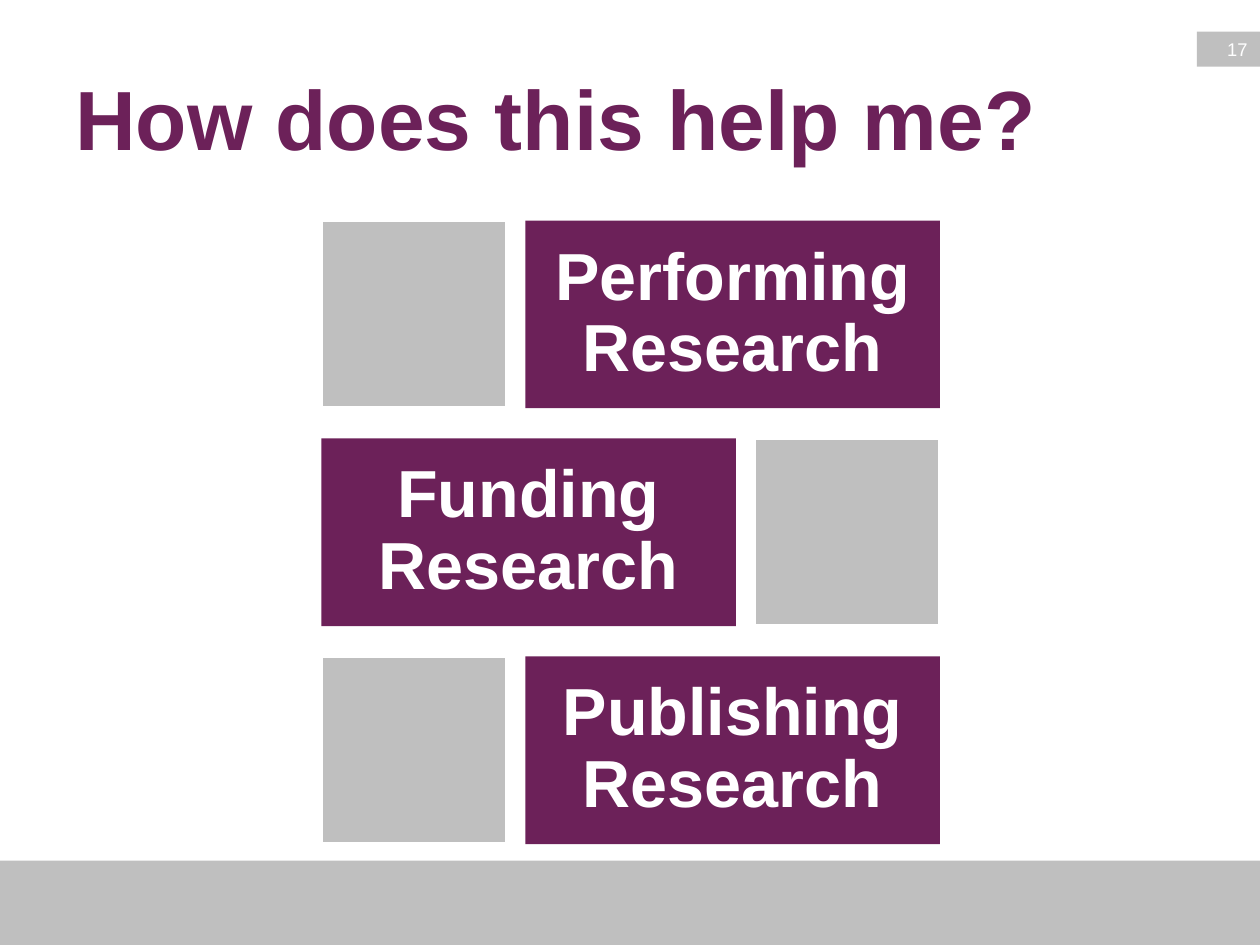
from pptx import Presentation
from pptx.dml.color import RGBColor
from pptx.enum.shapes import MSO_SHAPE
from pptx.enum.text import MSO_ANCHOR, PP_ALIGN
from pptx.util import Inches, Pt

TITLE = "How does this help me?"
PAGE_NUMBER = "17"
TOPICS = ["Performing Research", "Funding Research", "Publishing Research"]

THEME = {
    "font": "Arial",
    "purple": RGBColor(0x6C, 0x21, 0x59),
    "gray": RGBColor(0xBF, 0xBF, 0xBF),
    "white": RGBColor(0xFF, 0xFF, 0xFF),
    "title": Pt(48),
    "topic": Pt(38),
    "number": Pt(10.5),
}

LEFT, TOP = 2.55, 1.75
TOPIC_W, SQUARE_W, ROW_H = 3.29, 1.47, 1.49
COL_GAP, ROW_GAP = 0.15, 0.24


def add_rect(slide, box, color, outline=None):
    sp = slide.shapes.add_shape(MSO_SHAPE.RECTANGLE, *map(Inches, box))
    sp.shadow.inherit = False
    sp.fill.solid()
    sp.fill.fore_color.rgb = color
    if outline is None:
        sp.line.fill.background()
    else:
        sp.line.color.rgb = outline
        sp.line.width = Pt(2)
    return sp


def set_text(sp, text, size, color, align, bold=True):
    tf = sp.text_frame
    tf.word_wrap = True
    tf.vertical_anchor = MSO_ANCHOR.MIDDLE
    p = tf.paragraphs[0]
    p.text = text
    p.alignment = align
    p.font.name = THEME["font"]
    p.font.size = size
    p.font.bold = bold
    p.font.color.rgb = color
    return tf


def add_topic_row(slide, index, topic):
    """Place a topic beside a square, swapping sides on every other row."""
    y = TOP + index * (ROW_H + ROW_GAP)
    if index % 2 == 0:
        square_x, topic_x = LEFT, LEFT + SQUARE_W + COL_GAP
    else:
        topic_x, square_x = LEFT, LEFT + TOPIC_W + COL_GAP
    sp = add_rect(slide, (topic_x, y, TOPIC_W, ROW_H), THEME["purple"])
    tf = set_text(sp, topic, THEME["topic"], THEME["white"], PP_ALIGN.CENTER)
    tf.margin_left = tf.margin_right = Inches(0.16)
    tf.margin_top = tf.margin_bottom = Inches(0.16)
    tf.paragraphs[0].line_spacing = 0.9
    add_rect(slide, (square_x, y, SQUARE_W, ROW_H), THEME["gray"], THEME["white"])


def main():
    prs = Presentation()
    prs.slide_width, prs.slide_height = Inches(10), Inches(7.5)
    slide = prs.slides.add_slide(prs.slide_layouts[6])

    add_rect(slide, (0, 6.83, 10, 0.67), THEME["gray"])
    number = add_rect(slide, (9.5, 0.25, 0.5, 0.28), THEME["gray"])
    set_text(number, PAGE_NUMBER, THEME["number"], THEME["white"],
             PP_ALIGN.RIGHT, bold=False)

    title = slide.shapes.add_textbox(*map(Inches, (0.5, 0.3, 9, 1.25)))
    set_text(title, TITLE, THEME["title"], THEME["purple"], PP_ALIGN.LEFT)

    for index, topic in enumerate(TOPICS):
        add_topic_row(slide, index, topic)

    prs.save("out.pptx")


if __name__ == "__main__":
    main()
